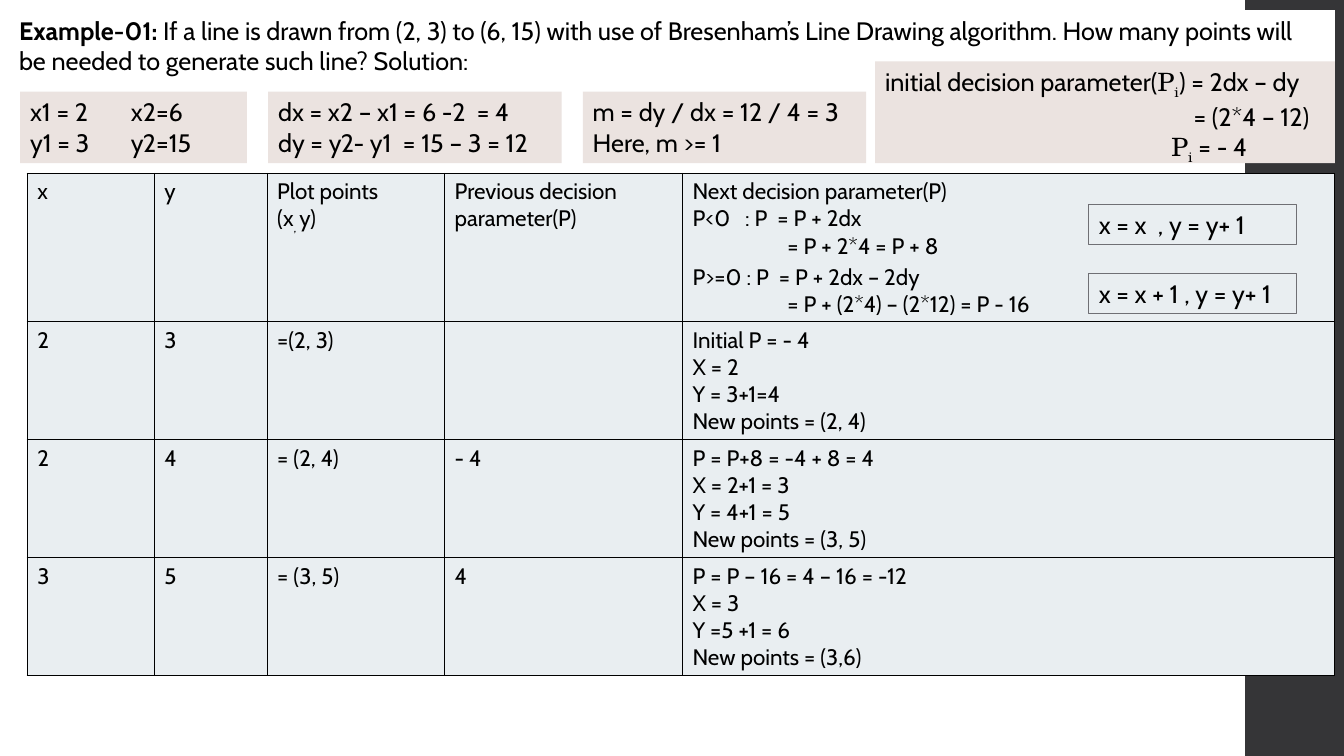
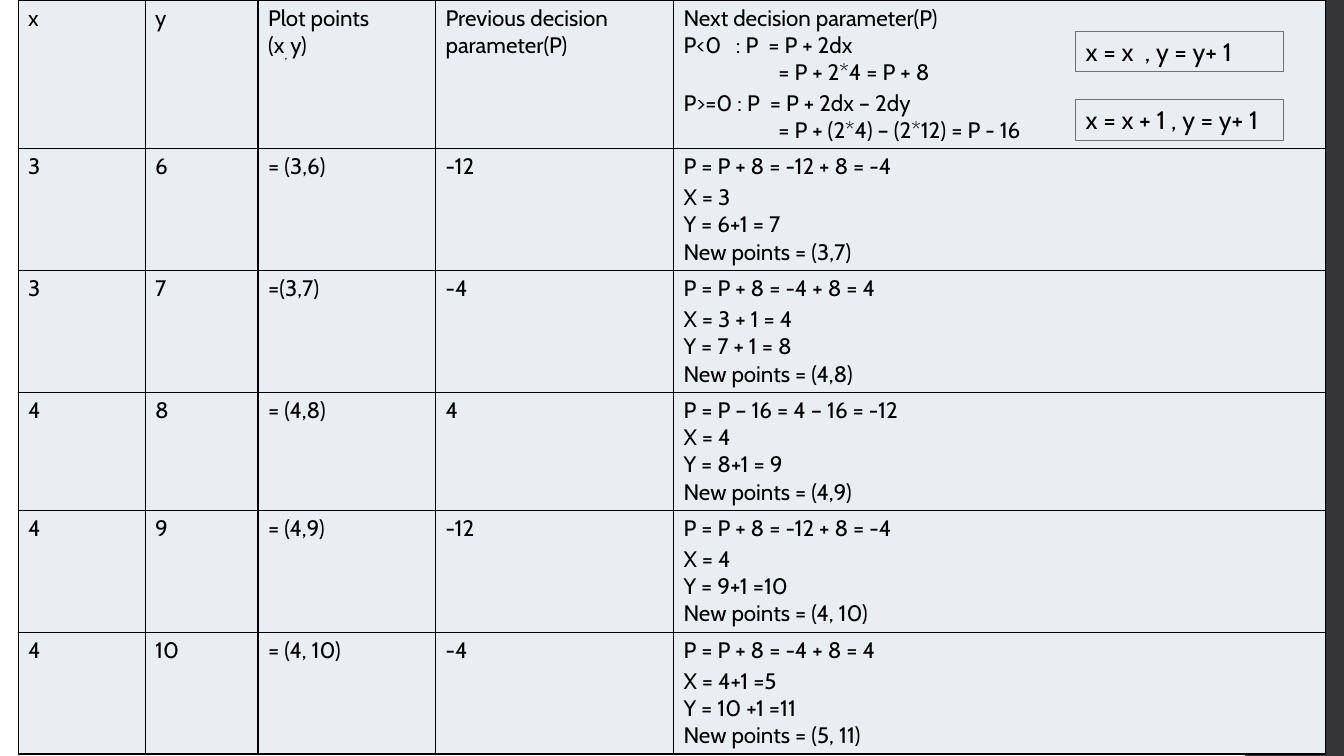
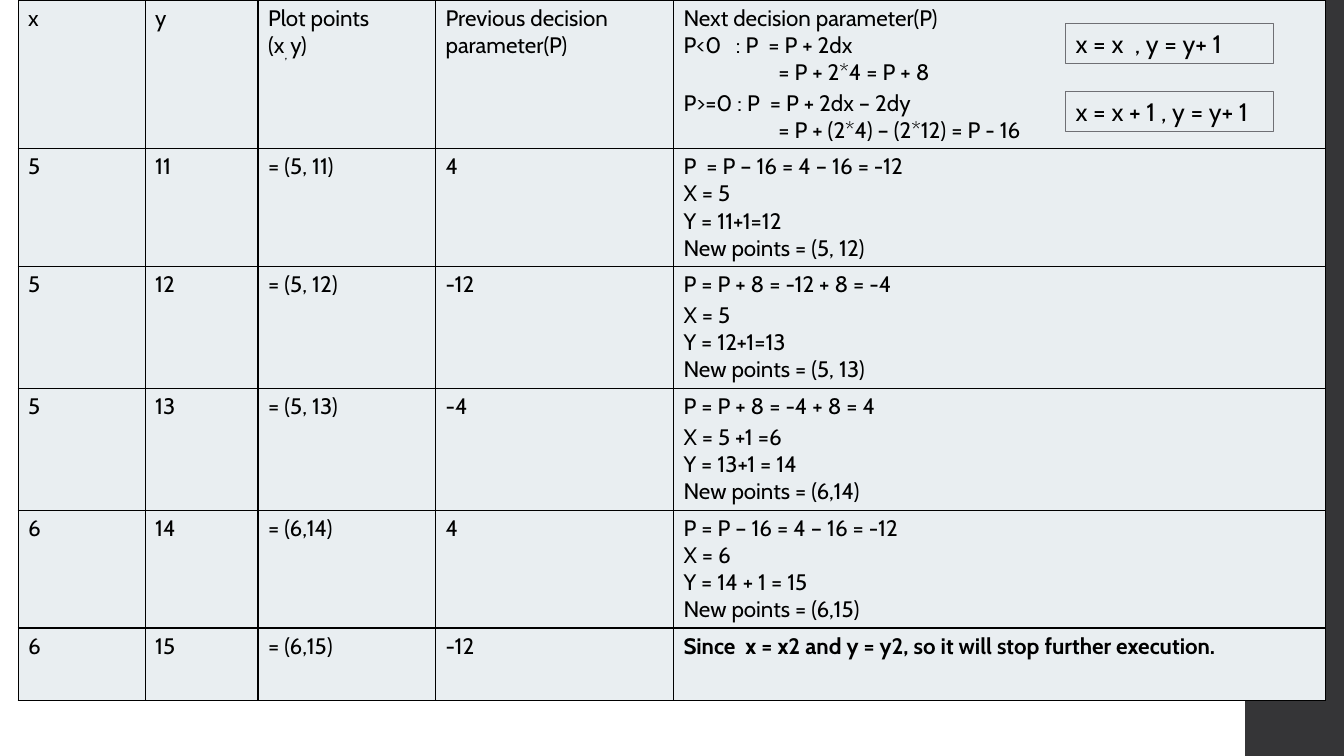
from dataclasses import dataclass, field
from typing import NamedTuple

import lxml.etree
import pptx
import pptx.dml.color
import pptx.enum.text
import pptx.oxml.ns
import pptx.util

Inches = pptx.util.Inches
Pt = pptx.util.Pt
qn = pptx.oxml.ns.qn


# Shared look
@dataclass(frozen=True)
class Theme:
    ink: str = "000000"
    paper: str = "FFFFFF"
    band: str = "353537"
    panel: str = "EBE3E0"
    cell: str = "E9EEF1"
    edge: str = "6F6F74"
    font: str = "Cabin"
    math: str = "TeX Gyre Schola"
    large: int = 18
    small: int = 16


THEME = Theme()
COLS = (1.26, 1.12, 1.76, 2.36, 6.47)
HEAD_H = 1.47
STEP_H = 1.17
LAST_H = 0.72
GAP_H = 0.04


# Parts of the content
class Run(NamedTuple):
    text: str
    bold: bool = False
    font: str = THEME.font
    base: int = 0


@dataclass(frozen=True)
class Para:
    runs: tuple[Run, ...]
    indent: float = 0
    stop: float = 0
    after: float = 0


@dataclass(frozen=True)
class Box:
    left: float
    top: float
    width: float
    height: float
    lines: tuple[Para, ...]
    fill: str = ""
    line: str = ""


class Step(NamedTuple):
    x: str
    y: str
    plot: str
    prev: str
    work: tuple[str, ...]
    bold: bool = False


@dataclass(frozen=True)
class Page:
    left: float
    top: float
    rule_x: float
    rule_y: float
    steps: tuple[Step, ...]
    boxes: tuple[Box, ...] = field(default=())


def para(text: str, bold: bool = False, indent: float = 0,
         stop: float = 0) -> Para:
    # A line that adds 8 is set a little looser
    return Para((Run(text, bold),), indent, stop, 2.8 if "P + 8" in text else 0)


def rgb(code: str) -> pptx.dml.color.RGBColor:
    return pptx.dml.color.RGBColor.from_string(code)


# Text
def write(frame, lines: tuple[Para, ...], size: int) -> None:
    for i, line in enumerate(lines):
        p = frame.paragraphs[0] if i == 0 else frame.add_paragraph()
        p.space_after = Pt(line.after)
        props = p._p.get_or_add_pPr()
        if line.indent:
            props.set("marL", str(Inches(line.indent)))
            props.set("indent", "0")
        if line.stop:
            tabs = lxml.etree.SubElement(props, qn("a:tabLst"))
            lxml.etree.SubElement(tabs, qn("a:tab"),
                                  pos=str(Inches(line.stop)), algn="l")
        for part in line.runs:
            run = p.add_run()
            run.text = part.text
            style = {"size": Pt(size), "name": part.font, "bold": part.bold}
            for key, value in style.items():
                setattr(run.font, key, value)
            run.font.color.rgb = rgb(THEME.ink)
            if part.base:
                run.font._element.set("baseline", str(part.base * 1000))


def draw_box(slide, box: Box) -> None:
    shape = slide.shapes.add_textbox(
        *map(Inches, (box.left, box.top, box.width, box.height)))
    frame = shape.text_frame
    style = {"word_wrap": True,
             "auto_size": pptx.enum.text.MSO_AUTO_SIZE.SHAPE_TO_FIT_TEXT}
    for key, value in style.items():
        setattr(frame, key, value)
    if box.fill:
        shape.fill.solid()
        shape.fill.fore_color.rgb = rgb(box.fill)
    if box.line:
        shape.line.color.rgb = rgb(box.line)
        shape.line.width = Pt(0.75)
    write(frame, box.lines, THEME.large)


# Table
HEAD = (
    (para("x"),),
    (para("y"),),
    (para("Plot points"),
     Para((Run("(x"), Run(", ", base=-25), Run("y)")))),
    (para("Previous decision parameter(P)"),),
    (para("Next decision parameter(P)"),
     para("P<0\t: P  = P + 2dx", stop=0.52),
     para("= P + 2*4 = P + 8", indent=0.94),
     para("P>=0 : P  = P + 2dx – 2dy"),
     para("= P + (2*4) – (2*12) = P - 16", indent=0.94)),
)


def fill_cell(cell, lines: tuple[Para, ...]) -> None:
    cell.fill.solid()
    cell.fill.fore_color.rgb = rgb(THEME.cell)
    props = cell._tc.get_or_add_tcPr()
    for i, side in enumerate(("lnL", "lnR", "lnT", "lnB")):
        edge = lxml.etree.Element(qn("a:" + side), w=str(Pt(1)))
        paint = lxml.etree.SubElement(edge, qn("a:solidFill"))
        lxml.etree.SubElement(paint, qn("a:srgbClr"), val=THEME.ink)
        props.insert(i, edge)
    write(cell.text_frame, lines, THEME.small)


def cells(step: Step) -> tuple[tuple[Para, ...], ...]:
    plain = tuple((para(text),) for text in step[:4])
    return plain + (tuple(para(text, step.bold) for text in step.work),)


def height(step: Step) -> float:
    if len(step.work) == 1:
        return LAST_H
    return STEP_H + GAP_H * any("P + 8" in text for text in step.work)


def draw_table(slide, page: Page) -> None:
    rows = (HEAD, *map(cells, page.steps))
    sizes = (HEAD_H, *map(height, page.steps))
    table = slide.shapes.add_table(
        len(rows), len(COLS), Inches(page.left), Inches(page.top),
        Inches(sum(COLS)), Inches(sum(sizes))).table
    for key in ("first_row", "horz_banding"):
        setattr(table, key, False)
    for col, width in zip(table.columns, COLS):
        col.width = Inches(width)
    for row, size, texts in zip(table.rows, sizes, rows):
        row.height = Inches(size)
        for cell, lines in zip(row.cells, texts):
            fill_cell(cell, lines)


# Slides
def draw_page(deck, page: Page) -> None:
    slide = deck.slides.add_slide(deck.slide_layouts[6])
    band = slide.shapes.add_shape(1, Inches(12.35), 0, Inches(0.98), Inches(7.5))
    band.shadow.inherit = False
    band.fill.solid()
    band.fill.fore_color.rgb = rgb(THEME.band)
    band.line.fill.background()
    for box in page.boxes:
        draw_box(slide, box)
    draw_table(slide, page)
    for i, text in enumerate(("x = x  , y = y+ 1", "x = x + 1 , y = y+ 1")):
        draw_box(slide, Box(page.rule_x, page.rule_y + i * 0.68, 2.06, 0.4,
                            (para(text),), line=THEME.edge))


def panel(left: float, width: float, *lines: str) -> Box:
    return Box(left, 0.91, width, 0.71, tuple(map(para, lines)), THEME.panel)


P_SUB = (Run("P", font=THEME.math), Run("i", font=THEME.math, base=-25))

PAGES = (
    Page(0.27, 1.72, 10.8, 2.03, (
        Step("2", "3", "=(2, 3)", "",
             ("Initial P = - 4", "X = 2", "Y = 3+1=4", "New points = (2, 4)")),
        Step("2", "4", "= (2, 4)", "- 4",
             ("P = P+8 = -4 + 8 = 4", "X = 2+1 = 3", "Y = 4+1 = 5",
              "New points = (3, 5)")),
        Step("3", "5", "= (3, 5)", "4",
             ("P = P – 16 = 4 – 16 = -12", "X = 3", "Y =5 +1 = 6",
              "New points = (3,6)")),
    ), (
        Box(0.09, 0.1, 13.15, 0.71, (Para((
            Run("Example-01: ", True),
            Run("If a line is drawn from (2, 3) to (6, 15) with use of "
                "Bresenham’s Line Drawing algorithm. How many points will be "
                "needed to generate such line? Solution:"))),), THEME.paper),
        panel(2.66, 2.91, "dx = x2 – x1 = 6 -2  = 4",
              "dy = y2- y1  = 15 – 3 = 12"),
        panel(5.78, 2.81, "m = dy / dx = 12 / 4 = 3", "Here, m >= 1"),
        panel(0.2, 2.25, "x1 = 2\tx2=6", "y1 = 3\ty2=15"),
        Box(8.68, 0.61, 4.56, 1.01, (
            Para((Run("initial decision parameter("), *P_SUB,
                  Run(") = 2dx – dy"))),
            para("= (2*4 – 12)", indent=3.06),
            Para((*P_SUB, Run(" = - 4")), indent=2.84)), THEME.panel),
    )),
    Page(0.18, 0, 10.67, 0.31, (
        Step("3", "6", "= (3,6)", "-12",
             ("P = P + 8 = -12 + 8 = -4", "X = 3", "Y = 6+1 = 7",
              "New points = (3,7)")),
        Step("3", "7", "=(3,7)", "-4",
             ("P = P + 8 = -4 + 8 = 4", "X = 3 + 1 = 4", "Y = 7 + 1 = 8",
              "New points = (4,8)")),
        Step("4", "8", "= (4,8)", "4",
             ("P = P – 16 = 4 – 16 = -12", "X = 4", "Y = 8+1 = 9",
              "New points = (4,9)")),
        Step("4", "9", "= (4,9)", "-12",
             ("P = P + 8 = -12 + 8 = -4", "X = 4", "Y = 9+1 =10",
              "New points = (4, 10)")),
        Step("4", "10", "= (4, 10)", "-4",
             ("P = P + 8 = -4 + 8 = 4", "X = 4+1 =5", "Y = 10 +1 =11",
              "New points = (5, 11)")),
    )),
    Page(0.18, 0, 10.57, 0.23, (
        Step("5", "11", "= (5, 11)", "4",
             ("P  = P – 16 = 4 – 16 = -12", "X = 5", "Y = 11+1=12",
              "New points = (5, 12)")),
        Step("5", "12", "= (5, 12)", "-12",
             ("P = P + 8 = -12 + 8 = -4", "X = 5", "Y = 12+1=13",
              "New points = (5, 13)")),
        Step("5", "13", "= (5, 13)", "-4",
             ("P = P + 8 = -4 + 8 = 4", "X = 5 +1 =6", "Y = 13+1 = 14",
              "New points = (6,14)")),
        Step("6", "14", "= (6,14)", "4",
             ("P = P – 16 = 4 – 16 = -12", "X = 6", "Y = 14 + 1 = 15",
              "New points = (6,15)")),
        Step("6", "15", "= (6,15)", "-12",
             ("Since  x = x2 and y = y2, so it will stop further execution.",),
             True),
    )),
)


def main() -> None:
    deck = pptx.Presentation()
    deck.slide_width = Inches(13.33)
    deck.slide_height = Inches(7.5)
    for page in PAGES:
        draw_page(deck, page)
    deck.save("out.pptx")


if __name__ == "__main__":
    main()
